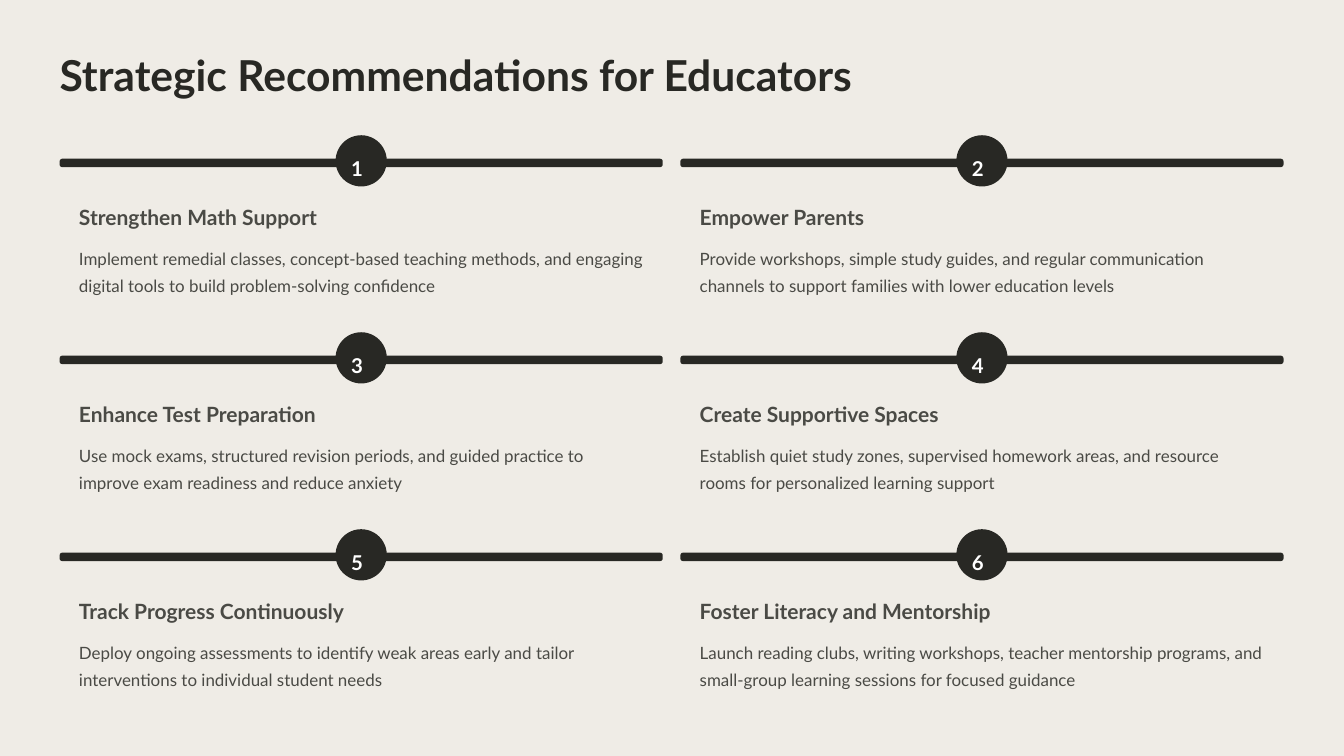
from dataclasses import dataclass

from pptx import Presentation
from pptx.dml.color import RGBColor
from pptx.enum.shapes import MSO_SHAPE
from pptx.slide import Slide
from pptx.util import Inches, Pt

FONT = "Lato"
BACKGROUND = "EFECE6"
DARK = "282824"
GREY = "4A4A45"
WHITE = "FFFFFF"

# Card grid, in inches
COLUMNS = 2
LEFT, TOP = 0.71, 1.89
COLUMN_PITCH = 7.39
ROW_PITCH = 4.69 / 2
BAR_WIDTH, BAR_HEIGHT = 7.18, 0.1
BADGE_SIZE = 0.61


@dataclass(frozen=True)
class TextStyle:
    size: float
    line_spacing: float
    color: str
    bold: bool = True
    wrap: bool = False


@dataclass(frozen=True)
class Recommendation:
    heading: str
    heading_width: float
    body: str


TITLE = TextStyle(36.5, 45.5, DARK)
NUMBER = TextStyle(17.5, 28, WHITE)
HEADING = TextStyle(18, 22.5, GREY)
BODY = TextStyle(14.5, 23.5, GREY, bold=False, wrap=True)

RECOMMENDATIONS = [
    Recommendation("Strengthen Math Support", 2.91,
                   "Implement remedial classes, concept-based teaching methods, and engaging "
                   "digital tools to build problem-solving confidence"),
    Recommendation("Empower Parents", 2.55,
                   "Provide workshops, simple study guides, and regular communication "
                   "channels to support families with lower education levels"),
    Recommendation("Enhance Test Preparation", 2.91,
                   "Use mock exams, structured revision periods, and guided practice to "
                   "improve exam readiness and reduce anxiety"),
    Recommendation("Create Supportive Spaces", 2.92,
                   "Establish quiet study zones, supervised homework areas, and resource "
                   "rooms for personalized learning support"),
    Recommendation("Track Progress Continuously", 3.26,
                   "Deploy ongoing assessments to identify weak areas early and tailor "
                   "interventions to individual student needs"),
    Recommendation("Foster Literacy and Mentorship", 3.57,
                   "Launch reading clubs, writing workshops, teacher mentorship programs, and "
                   "small-group learning sessions for focused guidance"),
]


def rgb(value: str) -> RGBColor:
    return RGBColor.from_string(value)


def add_text(slide: Slide, text: str, style: TextStyle,
             left: float, top: float, width: float, height: float) -> None:
    box = slide.shapes.add_textbox(Inches(left), Inches(top), Inches(width), Inches(height))
    frame = box.text_frame
    frame.word_wrap = style.wrap
    frame.margin_left = frame.margin_top = frame.margin_right = frame.margin_bottom = 0
    paragraph = frame.paragraphs[0]
    paragraph.line_spacing = Pt(style.line_spacing)
    run = paragraph.add_run()
    run.text = text
    run.font.name = FONT
    run.font.size = Pt(style.size)
    run.font.bold = style.bold
    run.font.color.rgb = rgb(style.color)


def add_rounded(slide: Slide, left: float, top: float,
                width: float, height: float, rounding: float) -> None:
    shape = slide.shapes.add_shape(MSO_SHAPE.ROUNDED_RECTANGLE, Inches(left), Inches(top),
                                   Inches(width), Inches(height))
    shape.adjustments[0] = rounding
    shape.shadow.inherit = False
    shape.fill.solid()
    shape.fill.fore_color.rgb = rgb(DARK)
    shape.line.fill.background()


def add_card(slide: Slide, index: int, card: Recommendation) -> None:
    row, column = divmod(index, COLUMNS)
    left = LEFT + column * COLUMN_PITCH
    top = TOP + row * ROW_PITCH

    # Bar with its numbered badge
    add_rounded(slide, left, top, BAR_WIDTH, BAR_HEIGHT, 0.31)
    add_rounded(slide, left + (BAR_WIDTH - BADGE_SIZE) / 2, top - 0.28,
                BADGE_SIZE, BADGE_SIZE, 0.5)
    add_text(slide, str(index + 1), NUMBER, left + 3.47, top - 0.13, 0.25, 0.31)

    # Heading and description
    add_text(slide, card.heading, HEADING, left + 0.23, top + 0.53, card.heading_width, 0.32)
    add_text(slide, card.body, BODY, left + 0.23, top + 0.98, 6.72, 0.65)


def main() -> None:
    presentation = Presentation()
    presentation.slide_width = Inches(16)
    presentation.slide_height = Inches(9)
    slide = presentation.slides.add_slide(presentation.slide_layouts[6])
    slide.background.fill.solid()
    slide.background.fill.fore_color.rgb = rgb(BACKGROUND)

    add_text(slide, "Strategic Recommendations for Educators", TITLE, LEFT, 0.56, 9.6, 0.64)
    for index, card in enumerate(RECOMMENDATIONS):
        add_card(slide, index, card)

    presentation.save("out.pptx")


if __name__ == "__main__":
    main()
